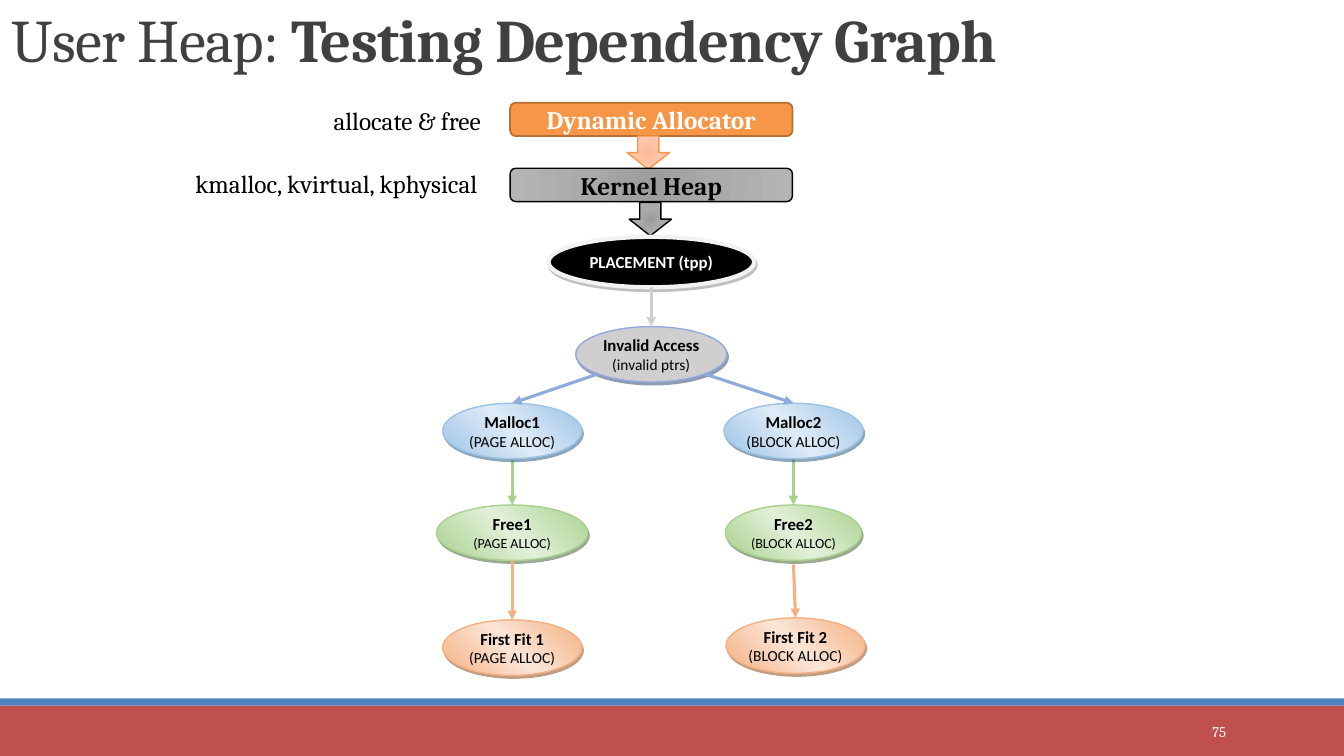
from dataclasses import dataclass
from typing import Optional

from lxml.etree import SubElement
from pptx import Presentation
from pptx.dml.color import RGBColor
from pptx.enum.shapes import MSO_CONNECTOR, MSO_SHAPE
from pptx.enum.text import MSO_ANCHOR, PP_ALIGN
from pptx.oxml.ns import qn
from pptx.util import Inches, Pt

BLACK = RGBColor(0x00, 0x00, 0x00)
WHITE = RGBColor(0xFF, 0xFF, 0xFF)
CHARCOAL = RGBColor(0x40, 0x40, 0x40)
RED = RGBColor(0xC0, 0x50, 0x4D)
BLUE = RGBColor(0x4F, 0x81, 0xBD)
ORANGE = RGBColor(0xF7, 0x96, 0x46)
BROWN = RGBColor(0xB7, 0x6F, 0x34)
OFF_WHITE = RGBColor(0xF2, 0xF2, 0xF2)
GRAY = RGBColor(0x80, 0x80, 0x80)
SILVER = RGBColor(0xD0, 0xCE, 0xCE)
PERIWINKLE = RGBColor(0x8F, 0xAA, 0xDC)
NAVY = RGBColor(0x20, 0x38, 0x64)
SKY = RGBColor(0x9D, 0xC3, 0xE6)
PALE_SKY = RGBColor(0xDE, 0xEB, 0xF7)
DEEP_SKY = RGBColor(0x1F, 0x4E, 0x79)
GREEN = RGBColor(0xA9, 0xD1, 0x8E)
PALE_GREEN = RGBColor(0xE2, 0xF0, 0xD9)
DEEP_GREEN = RGBColor(0x38, 0x57, 0x23)
PEACH = RGBColor(0xF4, 0xB1, 0x83)
PALE_PEACH = RGBColor(0xFB, 0xE5, 0xD6)
DEEP_PEACH = RGBColor(0x84, 0x3C, 0x0B)
PEACH_STOPS = ((0, RGBColor(0xFD, 0xB8, 0x96)), (45, RGBColor(0xFF, 0xC6, 0xAA)),
               (100, RGBColor(0xFF, 0xCC, 0xB5)))
GRAY_STOPS = ((0, RGBColor(0x9C, 0x9C, 0x9C)), (45, RGBColor(0xAA, 0xAA, 0xAA)),
              (100, RGBColor(0xB4, 0xB4, 0xB4)))


@dataclass
class Block:
    kind: MSO_SHAPE
    box: tuple
    line: RGBColor
    width: float = 1
    solid: Optional[RGBColor] = None
    stops: tuple = ()
    label: str = ""
    color: RGBColor = BLACK


@dataclass
class Node:
    center: float
    top: float
    width: float
    name: str
    detail: str = ""
    height: float = 0.55


@dataclass
class Level:
    fill: RGBColor
    light: Optional[RGBColor]
    line: RGBColor
    shadow: RGBColor
    nodes: tuple
    arrows: tuple = ()
    arrow_color: Optional[RGBColor] = None
    line_width: float = 1
    detail_size: float = 11
    color: RGBColor = BLACK


BLOCKS = (
    Block(MSO_SHAPE.ROUNDED_RECTANGLE, (5.06, 1.02, 2.8, 0.33), BROWN, 1.25, solid=ORANGE,
          label="Dynamic Allocator", color=WHITE),
    Block(MSO_SHAPE.DOWN_ARROW, (6.22, 1.35, 0.42, 0.33), ORANGE, stops=PEACH_STOPS),
    Block(MSO_SHAPE.ROUNDED_RECTANGLE, (5.06, 1.67, 2.8, 0.33), BLACK, stops=GRAY_STOPS,
          label="Kernel Heap"),
    Block(MSO_SHAPE.DOWN_ARROW, (6.24, 2.01, 0.42, 0.33), BLACK, stops=GRAY_STOPS),
)

LEVELS = (
    Level(BLACK, None, OFF_WHITE, GRAY, (Node(6.46, 2.35, 2.04, "PLACEMENT (tpp)", height=0.5),),
          line_width=3, color=WHITE),
    Level(SILVER, None, PERIWINKLE, NAVY,
          (Node(6.46, 3.24, 1.5, "Invalid Access", "(invalid ptrs)"),),
          ((6.46, 2.85, 6.46, 3.24),), SILVER),
    Level(GREEN, PALE_GREEN, GREEN, DEEP_GREEN,
          (Node(5.08, 5.01, 1.5, "Free1", "(PAGE ALLOC)"),
           Node(7.87, 5.01, 1.35, "Free2", "(BLOCK ALLOC)")),
          ((5.08, 4.56, 5.08, 5.01), (7.87, 4.55, 7.87, 5.01)), GREEN, detail_size=10),
    Level(SKY, PALE_SKY, SKY, DEEP_SKY,
          (Node(5.08, 4, 1.38, "Malloc1", "(PAGE ALLOC)"),
           Node(7.87, 4, 1.38, "Malloc2", "(BLOCK ALLOC)")),
          ((6.99, 3.71, 7.87, 4), (5.93, 3.71, 5.08, 4)), PERIWINKLE),
    Level(PEACH, PALE_PEACH, PEACH, DEEP_PEACH,
          (Node(5.08, 6.15, 1.38, "First Fit 1", "(PAGE ALLOC)"),
           Node(7.89, 6.13, 1.38, "First Fit 2", "(BLOCK ALLOC)")),
          ((7.87, 5.6, 7.89, 6.13), (5.08, 5.56, 5.08, 6.15)), PEACH),
)


def add_run(p, text: str, *, size: float, font: str = "Cambria", color: RGBColor = BLACK,
            bold: bool = False, align=None, spacing: int = 0) -> None:
    if align is not None:
        p.alignment = align
    r = p.add_run()
    r.text = text
    r.font.size, r.font.name, r.font.bold = Pt(size), font, bold
    r.font.color.rgb = color
    if spacing:
        r.font._element.set("spc", str(spacing))


def add_box(shapes, box: tuple, *, anchor=MSO_ANCHOR.TOP, wrap: bool = True):
    tf = shapes.add_textbox(*map(Inches, box)).text_frame
    tf.word_wrap, tf.vertical_anchor = wrap, anchor
    return tf.paragraphs[0]


def add_shape(shapes, kind: MSO_SHAPE, box: tuple, fill: Optional[RGBColor] = None,
              line: Optional[RGBColor] = None, width: float = 1):
    sp = shapes.add_shape(kind, *map(Inches, box))
    sp.shadow.inherit = False
    if fill is None:
        sp.fill.background()
    else:
        sp.fill.solid()
        sp.fill.fore_color.rgb = fill
    if line is None:
        sp.line.fill.background()
    else:
        sp.line.color.rgb = line
        sp.line.width = Pt(width)
    sp.text_frame.vertical_anchor = MSO_ANCHOR.MIDDLE
    return sp


def set_gradient(sp, stops: tuple, angle: Optional[int] = None) -> None:
    blank = sp._element.spPr.find(qn("a:noFill"))
    grad = SubElement(sp._element.spPr, qn("a:gradFill"), rotWithShape="1")
    sp._element.spPr.replace(blank, grad)
    stop_list = SubElement(grad, qn("a:gsLst"))
    for pos, color in stops:
        gs = SubElement(stop_list, qn("a:gs"), pos=str(pos * 1000))
        SubElement(gs, qn("a:srgbClr"), val=str(color))
    if angle is None:
        circle = SubElement(grad, qn("a:path"), path="circle")
        SubElement(circle, qn("a:fillToRect"), {side: "100000" for side in "ltrb"})
    else:
        SubElement(grad, qn("a:lin"), ang=str(angle * 60000), scaled="0")


def set_shadow(sp, color: RGBColor) -> None:
    effects = sp._element.spPr.find(qn("a:effectLst"))
    shadow = SubElement(effects, qn("a:outerShdw"), dist=str(Pt(2.2)), dir=str(63 * 60000),
                        algn="ctr", rotWithShape="0")
    SubElement(SubElement(shadow, qn("a:srgbClr"), val=str(color)), qn("a:alpha"), val="50000")


def add_arrow(shapes, ends: tuple, color: RGBColor) -> None:
    cxn = shapes.add_connector(MSO_CONNECTOR.STRAIGHT, *map(Inches, ends))
    cxn.line.color.rgb = color
    cxn.line.width = Pt(2.25)
    SubElement(cxn.line._get_or_add_ln(), qn("a:tailEnd"), type="triangle")
    SubElement(cxn._element.spPr, qn("a:effectLst"))


def draw_block(shapes, block: Block) -> None:
    sp = add_shape(shapes, block.kind, block.box, block.solid, block.line, block.width)
    if block.stops:
        set_gradient(sp, block.stops)
    if block.label:
        add_run(sp.text_frame.paragraphs[0], block.label, size=18, color=block.color,
                bold=True, align=PP_ALIGN.CENTER)


def draw_node(shapes, node: Node, level: Level) -> None:
    box = (node.center - node.width / 2, node.top, node.width, node.height)
    solid = None if level.light else level.fill
    sp = add_shape(shapes, MSO_SHAPE.OVAL, box, solid, level.line, level.line_width)
    if level.light:
        set_gradient(sp, ((0, level.fill), (50, level.light), (100, level.fill)), 315)
    set_shadow(sp, level.shadow)
    tf = sp.text_frame
    tf.margin_left = tf.margin_right = tf.margin_top = tf.margin_bottom = 0
    fmt = dict(font="Calibri", color=level.color, align=PP_ALIGN.CENTER)
    add_run(tf.paragraphs[0], node.name, size=12, bold=True, **fmt)
    if node.detail:
        add_run(tf.add_paragraph(), node.detail, size=level.detail_size, **fmt)


def draw_level(shapes, level: Level) -> None:
    target = shapes.add_group_shape().shapes if level.arrows else shapes
    for node in level.nodes:
        draw_node(target, node, level)
    for ends in level.arrows:
        add_arrow(target, ends, level.arrow_color)


def main() -> None:
    prs = Presentation()
    prs.slide_width, prs.slide_height = Inches(13.33), Inches(7.5)
    shapes = prs.slides.add_slide(prs.slide_layouts[6]).shapes
    add_shape(shapes, MSO_SHAPE.RECTANGLE, (0, 7, 13.33, 0.5), RED)
    add_shape(shapes, MSO_SHAPE.RECTANGLE, (0, 6.93, 13.33, 0.07), BLUE)
    number = add_box(shapes, (10.83, 7.06, 1.43, 0.4), anchor=MSO_ANCHOR.MIDDLE)
    add_run(number, "75", size=10.5, color=WHITE, align=PP_ALIGN.RIGHT)
    title = add_box(shapes, (0.02, 0.02, 13.31, 0.77), anchor=MSO_ANCHOR.BOTTOM)
    title.line_spacing = 0.85
    for text, bold in (("User Heap: ", False), ("Testing Dependency Graph", True)):
        add_run(title, text, size=43.2, color=CHARCOAL, bold=bold, spacing=-50)
    for block in BLOCKS:
        draw_block(shapes, block)
    for level in LEVELS:
        draw_level(shapes, level)
    for text, box in (("allocate & free", (3.21, 1, 1.74, 0.4)),
                      ("kmalloc, kvirtual, kphysical", (1.84, 1.62, 3.13, 0.4))):
        add_run(add_box(shapes, box, wrap=False), text, size=18)
    prs.save("out.pptx")


if __name__ == "__main__":
    main()
